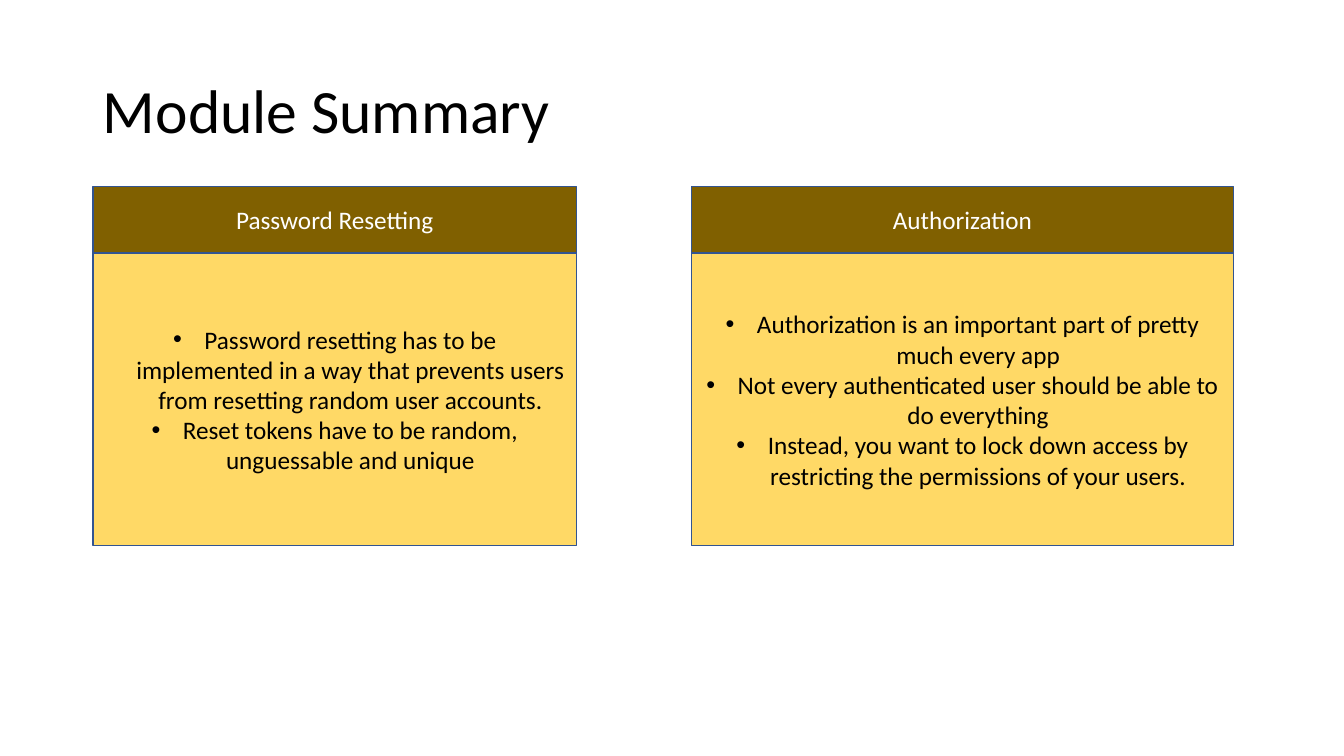
import pptx
import pptx.dml.color
import pptx.enum.text
import pptx.oxml
import pptx.oxml.ns
import pptx.util
from pptx.dml.color import RGBColor
from pptx.enum.text import MSO_ANCHOR, MSO_AUTO_SIZE, PP_ALIGN
from pptx.util import Cm

BLACK = RGBColor(0x00, 0x00, 0x00)
WHITE = RGBColor(0xFF, 0xFF, 0xFF)
BROWN = RGBColor(0x80, 0x60, 0x00)
YELLOW = RGBColor(0xFF, 0xD9, 0x66)
BLUE = RGBColor(0x32, 0x54, 0x91)

FONT = "Calibri"
COMPARISON_LAYOUT = 4
PANEL_TOP, HEADER_HEIGHT, LIST_HEIGHT = 4.7, 1.68, 7.37
BULLET_INDENT = Cm(0.79)

# Left, width (cm), header and points of each panel
PANELS = [
    (2.34, 12.19, "Password Resetting", [
        "Password resetting has to be implemented in a way that prevents "
        "users from resetting random user accounts.",
        "Reset tokens have to be random, unguessable and unique",
    ]),
    (17.42, 13.67, "Authorization", [
        "Authorization is an important part of pretty much every app",
        "Not every authenticated user should be able to do everything",
        "Instead, you want to lock down access by restricting the "
        "permissions of your users.",
    ]),
]


def place(shape, left, top, width, height):
    shape.left, shape.top = Cm(left), Cm(top)
    shape.width, shape.height = Cm(width), Cm(height)


def add_bullet(paragraph):
    properties = paragraph._p.get_or_add_pPr()
    properties.set("marL", str(BULLET_INDENT))
    properties.set("indent", str(-BULLET_INDENT))
    for tag, name, value in (("a:buFont", "typeface", "Arial"),
                             ("a:buChar", "char", "•")):
        element = pptx.oxml.parse_xml(
            f'<{tag} {pptx.oxml.ns.nsdecls("a")} {name}="{value}"/>')
        properties.append(element)


def write_text(shape, lines, size, color, alignment, spacing=1.0, bullets=False):
    text_frame = shape.text_frame
    text_frame.text = "\n".join(lines)
    text_frame.word_wrap = True
    text_frame.auto_size = MSO_AUTO_SIZE.NONE
    text_frame.vertical_anchor = MSO_ANCHOR.MIDDLE
    for paragraph in text_frame.paragraphs:
        if bullets:
            add_bullet(paragraph)
        paragraph.alignment = alignment
        paragraph.line_spacing = spacing
        paragraph.space_before = pptx.util.Pt(0)
        for run in paragraph.runs:
            run.font.name = FONT
            run.font.size = pptx.util.Pt(size)
            run.font.bold = False
            run.font.color.rgb = color


def paint(shape, fill):
    shape.fill.solid()
    shape.fill.fore_color.rgb = fill
    shape.line.color.rgb = BLUE
    shape.line.width = pptx.util.Pt(1)


def fill_panel(header, point_list, left, width, heading, points):
    place(header, left, PANEL_TOP, width, HEADER_HEIGHT)
    paint(header, BROWN)
    write_text(header, [heading], 18, WHITE, PP_ALIGN.CENTER)

    place(point_list, left, PANEL_TOP + HEADER_HEIGHT, width, LIST_HEIGHT)
    paint(point_list, YELLOW)
    write_text(point_list, points, 18, BLACK, PP_ALIGN.CENTER, bullets=True)


def main():
    presentation = pptx.Presentation()
    presentation.slide_width, presentation.slide_height = Cm(33.87), Cm(19.05)
    layout = presentation.slide_layouts[COMPARISON_LAYOUT]
    slide = presentation.slides.add_slide(layout)

    # Title
    title = slide.shapes.title
    place(title, 2.34, 1.02, 29.21, 3.68)
    write_text(title, ["Module Summary"], 44, BLACK, PP_ALIGN.LEFT, spacing=0.9)

    # Panels: the layout pairs a header with a list on each side
    _, *bodies = slide.placeholders
    for header, point_list, panel in zip(bodies[::2], bodies[1::2], PANELS):
        fill_panel(header, point_list, *panel)

    presentation.save("out.pptx")


if __name__ == "__main__":
    main()
